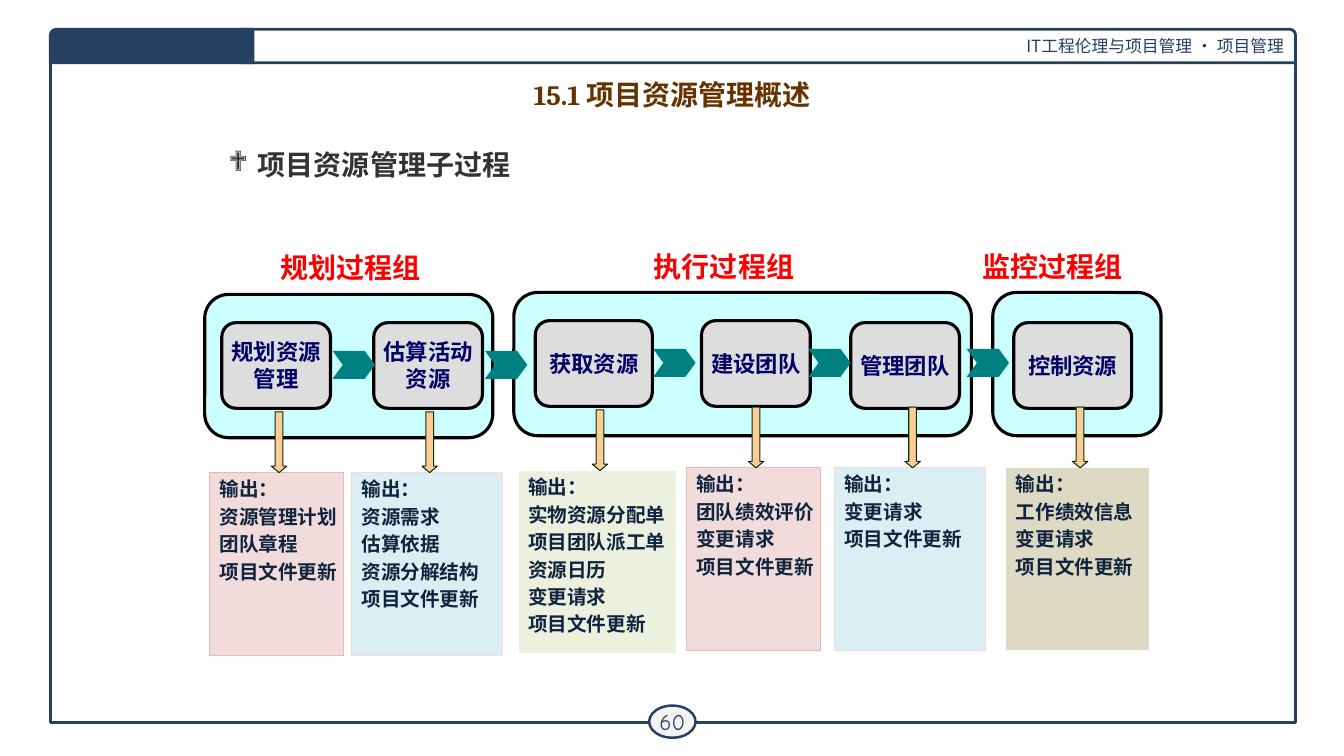
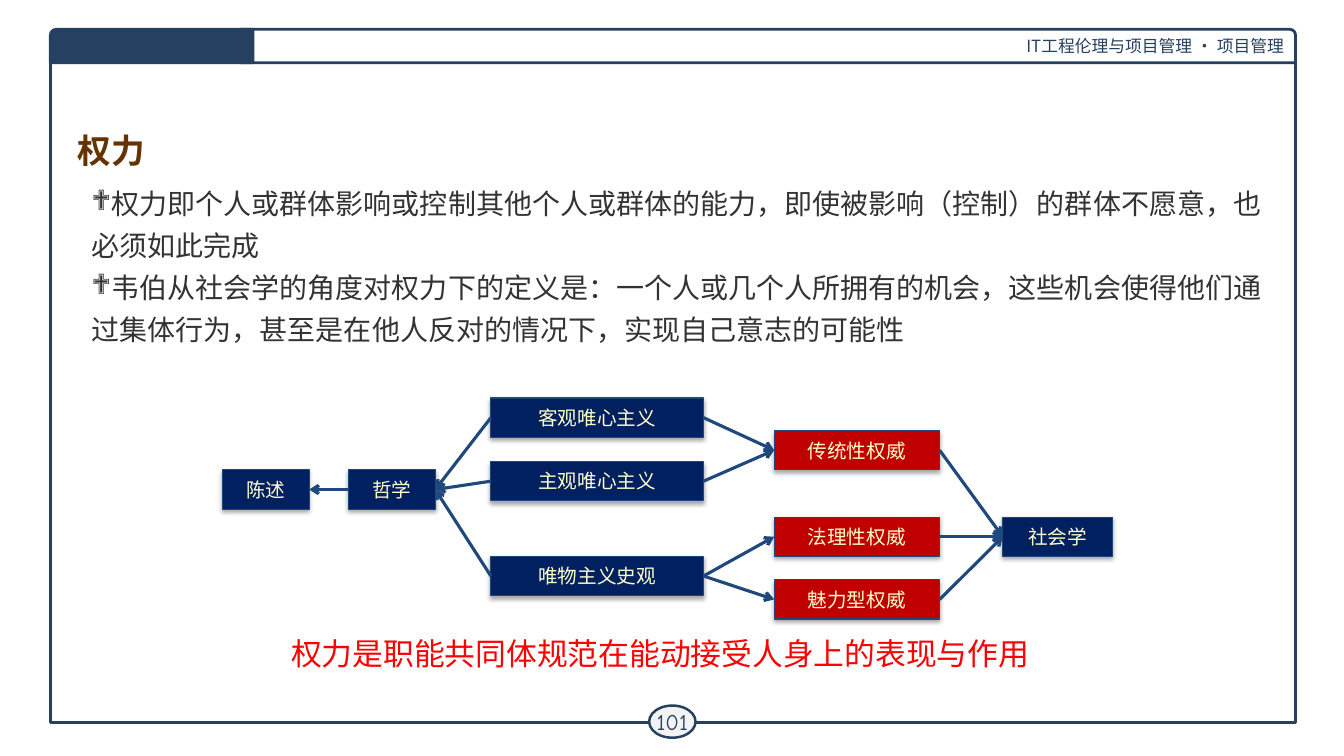
from lxml import etree
from pptx import Presentation
from pptx import util as u
from pptx.dml.color import RGBColor
from pptx.enum import shapes, text
from pptx.oxml.ns import qn

COLOURS = {
    "navy": "254061", "white": "FFFFFF", "badge": "F3F3F3", "brown": "663300",
    "body": "333333", "red": "FF0000", "black": "000000", "cyan": "CCFFFF",
    "grey": "DDDDDD", "label": "000066", "teal": "008080", "peach": "FFCC99",
    "green": "003300", "ink": "0F243E", "pink": "F2DCDB", "rose": "E6B9B8",
    "ice": "DBEEF4", "lime": "EBF1DE", "sand": "DDD9C3", "node": "002060",
    "crimson": "C00000", "edge": "1F497D", "cream": "FFFFCC",
}
STYLES = {
    "header": ("Noto Sans CJK SC", 12, "navy", False),
    "number": ("Comic Neue", 16, "navy", False),
    "title": ("Cambria", 20, "brown", True),
    "big title": ("Cambria", 24, "brown", True),
    "topic": ("Cambria", 20, "body", True),
    "body": ("Cambria", 20, "body", False),
    "group": ("Times New Roman", 20, "red", True),
    "step": ("Times New Roman", 16, "label", True),
    "output": ("Arial", 14, "ink", True),
    "node": ("Noto Sans CJK SC", 14, "cream", False),
    "conclusion": ("Noto Sans CJK SC", 22, "red", False),
}
HEADER = "IT工程伦理与项目管理 · 项目管理"

GROUPS = [
    ("规划过程组", (6.81, 6.2), (5.16, 7.42, 7.26, 3.61)),
    ("执行过程组", (16.23, 6.15), (12.95, 7.37, 11.53, 3.61)),
    ("监控过程组", (24.51, 6.15), (25.02, 7.37, 4.24, 3.61)),
]
STEPS = [
    (["规划资源", "管理"], (5.59, 8.13, 2.74), (5.28, 11.91, 3.38), ("pink", "rose"),
     ["资源管理计划", "团队章程", "项目文件更新"]),
    (["估算活动", "资源"], (9.42, 8.13, 2.74), (8.86, 11.91, 3.81), ("ice", "pink"),
     ["资源需求", "估算依据", "资源分解结构", "项目文件更新"]),
    (["获取资源"], (13.49, 8.08, 2.95), (13.06, 11.86, 3.99), ("lime", "white"),
     ["实物资源分配单", "项目团队派工单", "资源日历", "变更请求", "项目文件更新"]),
    (["建设团队"], (17.68, 8.08, 2.74), (17.3, 11.79, 3.38), ("pink", "rose"),
     ["团队绩效评价", "变更请求", "项目文件更新"]),
    (["管理团队"], (21.44, 8.13, 2.74), (21.03, 11.79, 3.81), ("ice", "pink"),
     ["变更请求", "项目文件更新"]),
    (["控制资源"], (25.55, 8.13, 2.97), (25.35, 11.79, 3.61), ("sand", "white"),
     ["工作绩效信息", "变更请求", "项目文件更新"]),
]
CHEVRONS = [(8.38, 8.84), (12.22, 8.84), (16.46, 8.79), (20.37, 8.79), (24.36, 8.79)]

POWER = [
    "权力即个人或群体影响或控制其他个人或群体的能力，即使被影响（控制）的群体不愿意，也必须如此完成",
    "韦伯从社会学的角度对权力下的定义是：一个人或几个人所拥有的机会，"
    "这些机会使得他们通过集体行为，甚至是在他人反对的情况下，实现自己意志的可能性",
]
CONCLUSION = "权力是职能共同体规范在能动接受人身上的表现与作用"
COLUMNS = [
    (5.61, 2.18, "node", [("陈述", 11.84)]),
    (8.79, 2.18, "node", [("哲学", 11.84)]),
    (12.37, 5.36, "node", [("客观唯心主义", 10.03), ("主观唯心主义", 11.63), ("唯物主义史观", 14.02)]),
    (19.51, 4.17, "crimson", [("传统性权威", 10.85), ("法理性权威", 13.03), ("魅力型权威", 14.61)]),
    (25.27, 2.77, "node", [("社会学", 13.03)]),
]
EDGES = [
    ("客观唯心主义", "哲学"), ("主观唯心主义", "哲学"), ("唯物主义史观", "哲学"), ("哲学", "陈述"),
    ("客观唯心主义", "传统性权威"), ("主观唯心主义", "传统性权威"),
    ("唯物主义史观", "法理性权威"), ("唯物主义史观", "魅力型权威"),
    ("传统性权威", "社会学"), ("法理性权威", "社会学"), ("魅力型权威", "社会学"),
]

LEFT, CENTER, RIGHT = text.PP_ALIGN.LEFT, text.PP_ALIGN.CENTER, text.PP_ALIGN.RIGHT
TOP, MIDDLE = text.MSO_ANCHOR.TOP, text.MSO_ANCHOR.MIDDLE
KIND = shapes.MSO_SHAPE


def rgb(name):
    return RGBColor.from_string(COLOURS[name])


def cm(values):
    return [u.Cm(value) for value in values]


def write(shape, lines, style, align=LEFT, anchor=TOP, wrap=True, leading=None,
          before=0, bullet=None):
    font_name, size, colour, bold = STYLES[style]
    frame = shape.text_frame
    frame.word_wrap = wrap
    frame.vertical_anchor = anchor
    for index, line in enumerate(lines):
        paragraph = frame.add_paragraph() if index else frame.paragraphs[0]
        paragraph.text = line
        paragraph.alignment = align
        paragraph.line_spacing = u.Pt(leading or size * 1.2)
        paragraph.space_before = u.Pt(before if index else 0)
        if bullet:
            margin, indent = cm(bullet)
            properties = paragraph._p.get_or_add_pPr()
            properties.set("marL", str(margin))
            properties.set("indent", str(indent))
            etree.SubElement(properties, qn("a:buFont")).set("typeface", "Wingdings")
            etree.SubElement(properties, qn("a:buChar")).set("char", "❖")
        font = paragraph.font
        font.name, font.size, font.bold = font_name, u.Pt(size), bold
        font.color.rgb = rgb(colour)


def draw(slide, kind, box, fill=None, line=None, width=0.75, adjust=None):
    shape = slide.shapes.add_shape(kind, *cm(box))
    shape.shadow.inherit = False
    if fill:
        shape.fill.solid()
        shape.fill.fore_color.rgb = rgb(fill)
    else:
        shape.fill.background()
    if line:
        shape.line.color.rgb = rgb(line)
        shape.line.width = u.Pt(width)
    else:
        shape.line.fill.background()
    for index, value in enumerate(adjust or []):
        shape.adjustments[index] = value
    return shape


def add_text(slide, box, lines, style, **options):
    write(slide.shapes.add_textbox(*cm(box)), lines, style, **options)


def cast_shadow(shape):
    effects = shape.element.spPr.find(qn("a:effectLst"))
    shadow = etree.SubElement(effects, qn("a:outerShdw"), blurRad="40000",
                              dist="23000", dir="5400000", rotWithShape="0")
    black = etree.SubElement(shadow, qn("a:srgbClr"), val=COLOURS["black"])
    etree.SubElement(black, qn("a:alpha"), val="35000")


def connect(slide, start, end):
    rightward = start.left < end.left
    arrow = slide.shapes.add_connector(shapes.MSO_CONNECTOR.STRAIGHT, 0, 0, 0, 0)
    arrow.begin_connect(start, 3 if rightward else 1)
    arrow.end_connect(end, 1 if rightward else 3)
    arrow.line.color.rgb = rgb("edge")
    arrow.line.width = u.Pt(2.25)
    etree.SubElement(arrow.line._get_or_add_ln(), qn("a:tailEnd"), type="arrow")
    etree.SubElement(arrow.element.spPr, qn("a:effectLst"))


def furnish_layout(slide):
    border = draw(slide, KIND.RECTANGLE, (1.27, 1.27, 31.37, 16.94), None, "navy", 2)
    header = draw(slide, KIND.ROUND_1_RECTANGLE, (6.05, 0.74, 26.6, 0.84), "white", "navy", 2)
    write(header, [HEADER], "header", RIGHT, MIDDLE)
    tab = draw(slide, KIND.ROUND_1_RECTANGLE, (1.27, 0.74, 5.11, 0.84), "navy", "navy", 2, [0.175])
    tab.element.spPr.find(qn("a:xfrm")).set("flipH", "1")
    for part in (border, header, tab):
        slide.slide_layout.shapes.element.append(part.element)


def start_slide(deck, number, title, box, style, align):
    slide = deck.slides.add_slide(deck.slide_layouts[5])
    heading = slide.shapes.title
    heading.left, heading.top, heading.width, heading.height = cm(box)
    heading.text_frame.auto_size = text.MSO_AUTO_SIZE.NONE
    write(heading, [title], style, align)
    badge = draw(slide, KIND.OVAL, (16.36, 17.78, 1.17, 0.81), "badge", "navy", 1.75)
    frame = badge.text_frame
    frame.margin_left = frame.margin_right = frame.margin_top = frame.margin_bottom = u.Cm(0.1)
    write(badge, [str(number)], "number", CENTER, MIDDLE, wrap=False)
    return slide


def build_process(deck):
    slide = start_slide(deck, 60, "15.1 项目资源管理概述", (5.51, 1.83, 22.86, 0.94), "title", CENTER)
    furnish_layout(slide)
    add_text(slide, (5.51, 3.18, 22.86, 1.9), ["项目资源管理子过程"], "topic",
             leading=36, bullet=(0.74, -0.74))
    for group, corner, box in GROUPS:
        draw(slide, KIND.FLOWCHART_ALTERNATE_PROCESS, box, "cyan", "black", 2.25)
        add_text(slide, (*corner, 4.09, 1.12), [group], "group", wrap=False)
    for name, place, (left, top, width), (fill, line), outputs in STEPS:
        step = draw(slide, KIND.FLOWCHART_ALTERNATE_PROCESS, (*place, 2.16), "grey", "black", 2.25)
        write(step, name, "step", CENTER, MIDDLE, wrap=False)
        output = draw(slide, KIND.RECTANGLE, (left, top, width, 4.6), fill, line)
        write(output, ["输出："] + outputs, "output", wrap=False, leading=16.5, before=3.1)
        draw(slide, KIND.DOWN_ARROW, (left + width / 2 - 0.13, top - 1.53, 0.39, 1.53),
             "peach", "green", adjust=[0.5, 0.417])
    for corner in CHEVRONS:
        draw(slide, KIND.CHEVRON, (*corner, 1.07, 0.71), "teal", adjust=[0.366])


def build_power(deck):
    slide = start_slide(deck, 101, "权力", (1.7, 3.15, 30.48, 1.22), "big title", LEFT)
    add_text(slide, (2.06, 4.37, 30.12, 6.81), POWER, "body", leading=30, bullet=(0, -0.74))
    add_text(slide, (7.09, 15.82, 20.83, 1.19), [CONCLUSION], "conclusion", leading=28)
    nodes = {}
    for left, width, fill, members in COLUMNS:
        for name, top in members:
            node = draw(slide, KIND.RECTANGLE, (left, top, width, 0.99), fill, "edge")
            cast_shadow(node)
            write(node, [name], "node", CENTER, MIDDLE)
            nodes[name] = node
    for start, end in EDGES:
        connect(slide, nodes[start], nodes[end])


def main():
    deck = Presentation()
    deck.slide_width, deck.slide_height = cm((33.87, 19.05))
    build_process(deck)
    build_power(deck)
    deck.save("out.pptx")


if __name__ == "__main__":
    main()
